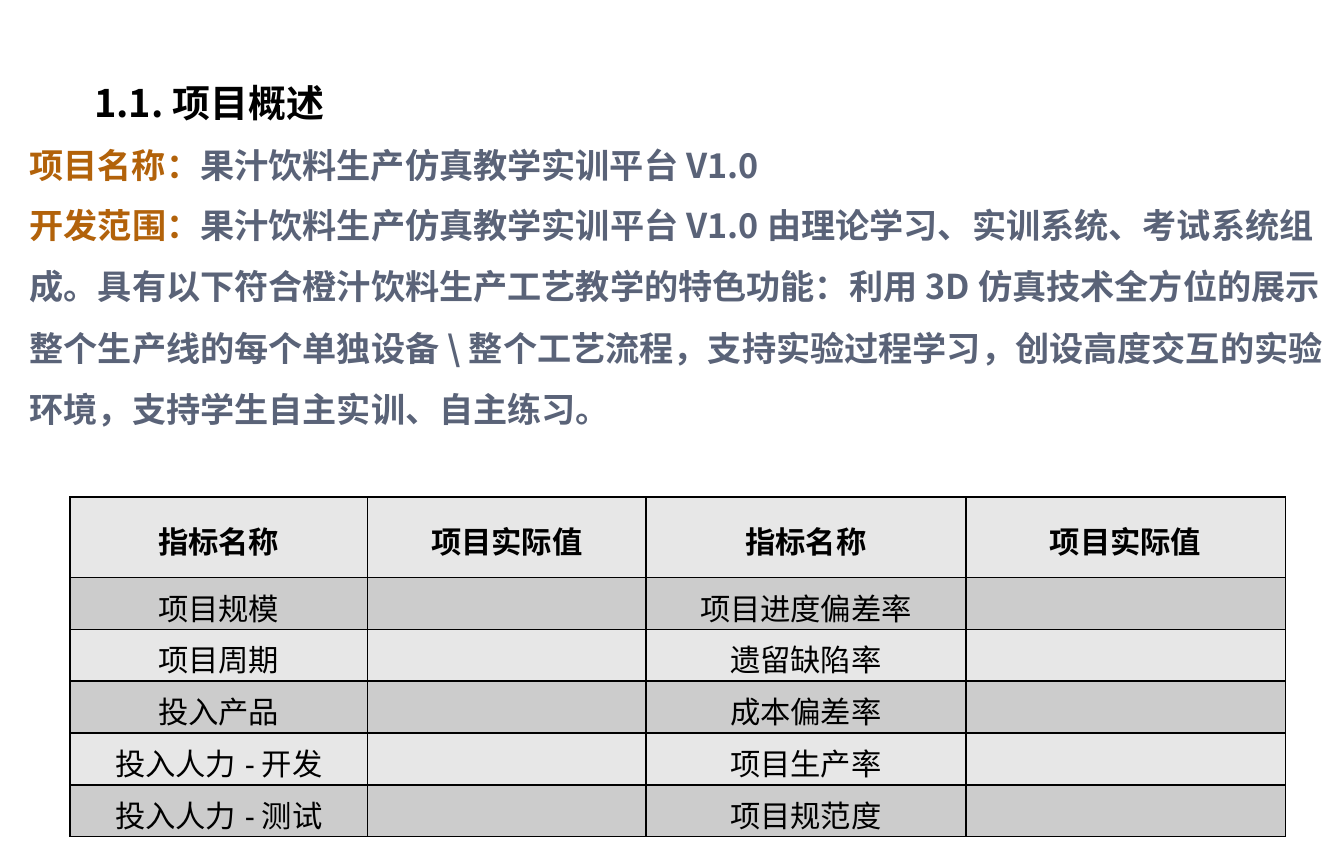
from dataclasses import dataclass

from lxml import etree
from pptx import Presentation
from pptx.dml.color import RGBColor
from pptx.enum.text import MSO_ANCHOR, MSO_AUTO_SIZE, PP_ALIGN
from pptx.oxml.ns import qn
from pptx.util import Inches, Pt

MIDDLE = MSO_ANCHOR.MIDDLE
CENTER = PP_ALIGN.CENTER
GROW = MSO_AUTO_SIZE.SHAPE_TO_FIT_TEXT
FIXED = MSO_AUTO_SIZE.NONE

SLIDE_WIDTH, SLIDE_HEIGHT = Inches(9.84), Inches(6.3)
CHINESE_FONT, TABLE_FONT = "Noto Sans CJK SC", "Arial"
BLACK, ORANGE, SLATE = "000000", "B2620A", "5A6378"
LIGHT_GREY, MID_GREY = "E7E7E7", "CCCCCC"


@dataclass
class Span:
    text: str
    color: str


@dataclass
class TextBlock:
    """Position and size are percentages of the slide."""
    left: float
    top: float
    width: float
    height: float
    size: int
    spans: list[Span]
    line_spacing: float = 1.0
    auto_size: MSO_AUTO_SIZE = FIXED


TEXT_BLOCKS = [
    TextBlock(6, 7.5, 93.6, 8.7, 20, [Span("1.1.项目概述", BLACK)]),
    TextBlock(1.2, 14.1, 100, 7.8, 18, [
        Span("项目名称：", ORANGE),
        Span("果汁饮料生产仿真教学实训平台V1.0", SLATE),
    ], 1.5, GROW),
    TextBlock(1.2, 20.5, 98.9, 30.3, 18, [
        Span("开发范围：", ORANGE),
        Span("果汁饮料生产仿真教学实训平台V1.0由理论学习、实训系统、考试系统组成。"
             "具有以下符合橙汁饮料生产工艺教学的特色功能：利用3D仿真技术全方位的展示"
             r"整个生产线的每个单独设备\整个工艺流程，支持实验过程学习，"
             "创设高度交互的实验环境，支持学生自主实训、自主练习。", SLATE),
    ], 1.5, GROW),
]

TABLE_LEFT, TABLE_TOP = 5.2, 57.8
COLUMN_WIDTHS = [22.15, 20.73, 23.78, 23.78]
HEADER_HEIGHT, BODY_HEIGHT = 9.37, 6.03
TABLE_ROWS = [
    ["指标名称", "项目实际值", "指标名称", "项目实际值"],
    ["项目规模", "", "项目进度偏差率", ""],
    ["项目周期", "", "遗留缺陷率", ""],
    ["投入产品", "", "成本偏差率", ""],
    ["投入人力-开发", "", "项目生产率", ""],
    ["投入人力-测试", "", "项目规范度", ""],
]


def across(percent: float) -> int:
    return round(SLIDE_WIDTH * percent / 100)


def down(percent: float) -> int:
    return round(SLIDE_HEIGHT * percent / 100)


def rgb(color: str) -> RGBColor:
    return RGBColor.from_string(color)


def format_span(span, size: int, color: str, bold: bool, font: str) -> None:
    span.font.size = Pt(size)
    span.font.bold = bold
    span.font.color.rgb = rgb(color)
    span.font.name = font
    east_asian = etree.SubElement(span.font._element, qn("a:ea"))
    east_asian.set("typeface", CHINESE_FONT)


def add_text(page, block: TextBlock) -> None:
    box = page.shapes.add_textbox(across(block.left), down(block.top),
                                  across(block.width), down(block.height))
    frame = box.text_frame
    frame.word_wrap = True
    frame.auto_size = block.auto_size
    frame.vertical_anchor = MIDDLE
    para = frame.paragraphs[0]
    para.line_spacing = block.line_spacing
    for item in block.spans:
        span = para.add_run()
        span.text = item.text
        format_span(span, block.size, item.color, True, CHINESE_FONT)


def add_borders(cell) -> None:
    properties = cell._tc.get_or_add_tcPr()
    for position, side in enumerate(("a:lnL", "a:lnR", "a:lnT", "a:lnB")):
        line = etree.Element(qn(side), w=str(Pt(1)))
        fill = etree.SubElement(line, qn("a:solidFill"))
        etree.SubElement(fill, qn("a:srgbClr"), val=BLACK)
        properties.insert(position, line)


def fill_cell(cell, text: str, color: str, header: bool) -> None:
    cell.fill.solid()
    cell.fill.fore_color.rgb = rgb(color)
    cell.vertical_anchor = MIDDLE
    cell.margin_top, cell.margin_bottom = Inches(0.05), 0
    add_borders(cell)
    if text:
        para = cell.text_frame.paragraphs[0]
        para.text = text
        para.alignment = CENTER
        format_span(para.runs[0], 16, BLACK, header, TABLE_FONT)


def add_indicator_table(page) -> None:
    heights = [HEADER_HEIGHT] + [BODY_HEIGHT] * (len(TABLE_ROWS) - 1)
    table = page.shapes.add_table(
        len(TABLE_ROWS), len(COLUMN_WIDTHS), across(TABLE_LEFT), down(TABLE_TOP),
        across(sum(COLUMN_WIDTHS)), down(sum(heights))).table
    for column, width in zip(table.columns, COLUMN_WIDTHS):
        column.width = across(width)
    for index, (row, height) in enumerate(zip(table.rows, heights)):
        row.height = down(height)
        color = MID_GREY if index % 2 else LIGHT_GREY
        for cell, text in zip(row.cells, TABLE_ROWS[index]):
            fill_cell(cell, text, color, index == 0)


def main() -> None:
    deck = Presentation()
    deck.slide_width, deck.slide_height = SLIDE_WIDTH, SLIDE_HEIGHT
    page = deck.slides.add_slide(deck.slide_layouts[6])

    # Heading and project description
    for block in TEXT_BLOCKS:
        add_text(page, block)

    # Indicator table
    add_indicator_table(page)
    deck.save("out.pptx")


if __name__ == "__main__":
    main()
